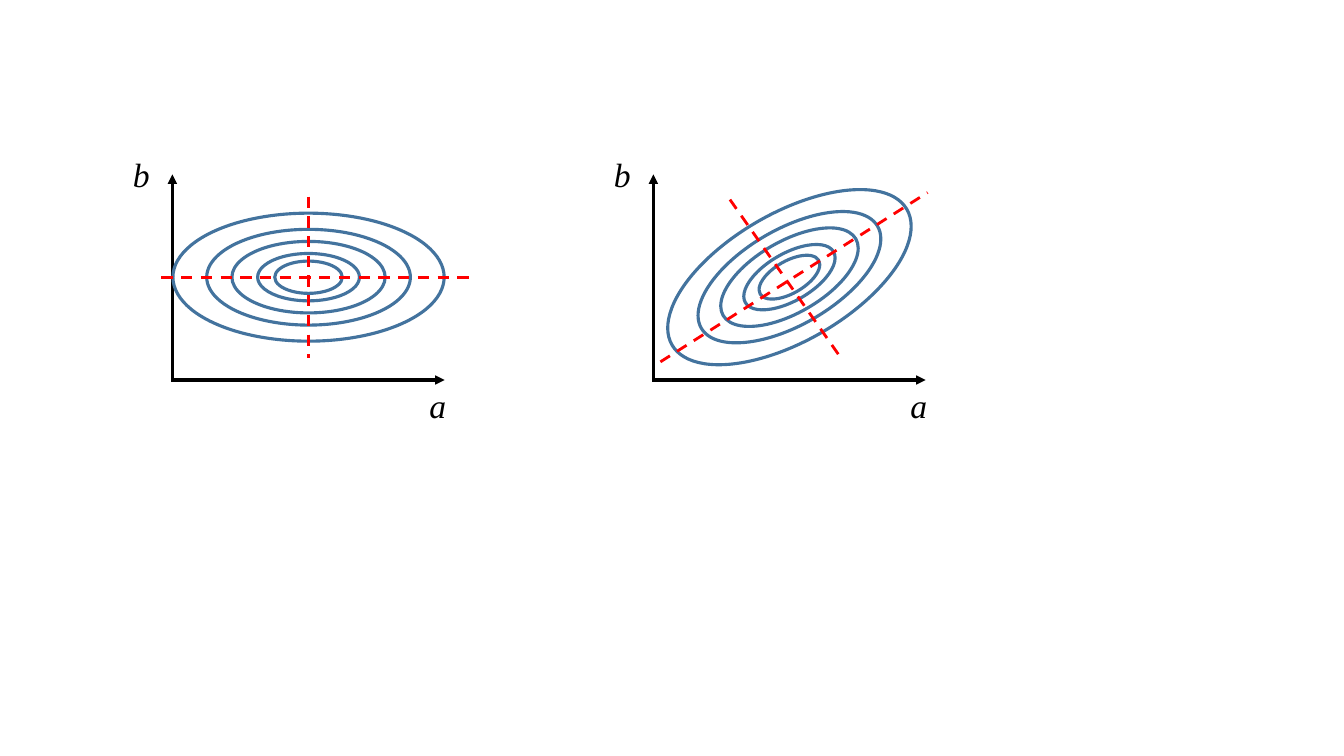
from dataclasses import dataclass
from typing import NamedTuple

from lxml.etree import SubElement
from pptx import Presentation
from pptx.dml.color import RGBColor
from pptx.enum.dml import MSO_LINE
from pptx.enum.shapes import MSO_CONNECTOR, MSO_SHAPE
from pptx.enum.text import MSO_AUTO_SIZE
from pptx.oxml.ns import qn
from pptx.shapes.connector import Connector
from pptx.slide import Slide
from pptx.util import Inches, Pt

COLORS = {"axis": "000000", "contour": "43739E", "principal": "FF0000"}
FONT = "Times New Roman"
CELL = Inches(0.1)


class Point(NamedTuple):
    column: float
    row: float

    def shifted(self, columns: float, rows: float) -> "Point":
        return Point(self.column + columns, self.row + rows)


class Size(NamedTuple):
    columns: float
    rows: float


class Segment(NamedTuple):
    start: Point
    end: Point


class Label(NamedTuple):
    text: str
    offset: Point


@dataclass(frozen=True)
class ContourPlot:
    origin: Point
    rotation: float
    principal_axes: tuple[Segment, Segment]


CENTER_OFFSET = Point(13.5, -10.2)
LABEL_SIZE = Size(4.9, 5)
AXES = (
    Segment(Point(-0.1, 0), Point(27, 0)),
    Segment(Point(0, 0), Point(0, -20.4)),
)
CONTOURS = (
    Size(6.7, 3.2),
    Size(10.1, 4.7),
    Size(15.2, 7.1),
    Size(20.2, 9.5),
    Size(26.9, 12.7),
)
LABELS = (Label("a", Point(24.5, 0)), Label("b", Point(-4.9, -22.9)))
PLOTS = (
    ContourPlot(
        Point(17.1, 37.7),
        0,
        (
            Segment(Point(-14.6, 0), Point(15.9, 0)),
            Segment(Point(0, -8), Point(0, 8)),
        ),
    ),
    ContourPlot(
        Point(64.8, 37.7),
        -30,
        (
            Segment(Point(-12.8, 8.4), Point(13.7, -8.4)),
            Segment(Point(-5.9, -7.7), Point(5.1, 8)),
        ),
    ),
)


def grid(cells: float) -> int:
    return round(cells * CELL)


def color(name: str) -> RGBColor:
    return RGBColor.from_string(COLORS[name])


def draw_line(shapes, base: Point, segment: Segment, color_name: str, width: float) -> Connector:
    start = base.shifted(*segment.start)
    end = base.shifted(*segment.end)
    connector = shapes.add_connector(
        MSO_CONNECTOR.STRAIGHT, *(grid(cells) for cells in (*start, *end))
    )
    connector.line.color.rgb = color(color_name)
    connector.line.width = Pt(width)
    SubElement(connector._element.spPr, qn("a:effectLst"))
    return connector


def draw_axes(slide: Slide, origin: Point) -> None:
    group = slide.shapes.add_group_shape()
    for axis in AXES:
        connector = draw_line(group.shapes, origin, axis, "axis", 2.25)
        SubElement(connector.line._get_or_add_ln(), qn("a:tailEnd"), type="triangle")


def draw_contour(slide: Slide, center: Point, size: Size, rotation: float) -> None:
    corner = center.shifted(-size.columns / 2, -size.rows / 2)
    ellipse = slide.shapes.add_shape(
        MSO_SHAPE.OVAL, *(grid(cells) for cells in (*corner, *size))
    )
    ellipse.rotation = rotation
    ellipse.shadow.inherit = False
    ellipse.fill.background()
    ellipse.line.color.rgb = color("contour")
    ellipse.line.width = Pt(2.25)


def draw_label(slide: Slide, origin: Point, label: Label) -> None:
    corner = origin.shifted(*label.offset)
    text_box = slide.shapes.add_textbox(*(grid(cells) for cells in (*corner, *LABEL_SIZE)))
    text_frame = text_box.text_frame
    text_frame.word_wrap = True
    text_frame.auto_size = MSO_AUTO_SIZE.SHAPE_TO_FIT_TEXT
    text_frame.text = label.text
    font = text_frame.paragraphs[0].runs[0].font
    font.name = FONT
    font.size = Pt(24)
    font.italic = True
    font.color.rgb = color("axis")


def draw_plot(slide: Slide, plot: ContourPlot) -> None:
    center = plot.origin.shifted(*CENTER_OFFSET)
    draw_axes(slide, plot.origin)
    for size in CONTOURS:
        draw_contour(slide, center, size, plot.rotation)
    for label in LABELS:
        draw_label(slide, plot.origin, label)
    for segment in plot.principal_axes:
        connector = draw_line(slide.shapes, center, segment, "principal", 2)
        connector.line.dash_style = MSO_LINE.DASH


def main() -> None:
    presentation = Presentation()
    presentation.slide_width = Inches(13.33)
    presentation.slide_height = Inches(7.5)
    slide = presentation.slides.add_slide(presentation.slide_layouts[6])
    for plot in PLOTS:
        draw_plot(slide, plot)
    presentation.save("out.pptx")


if __name__ == "__main__":
    main()
